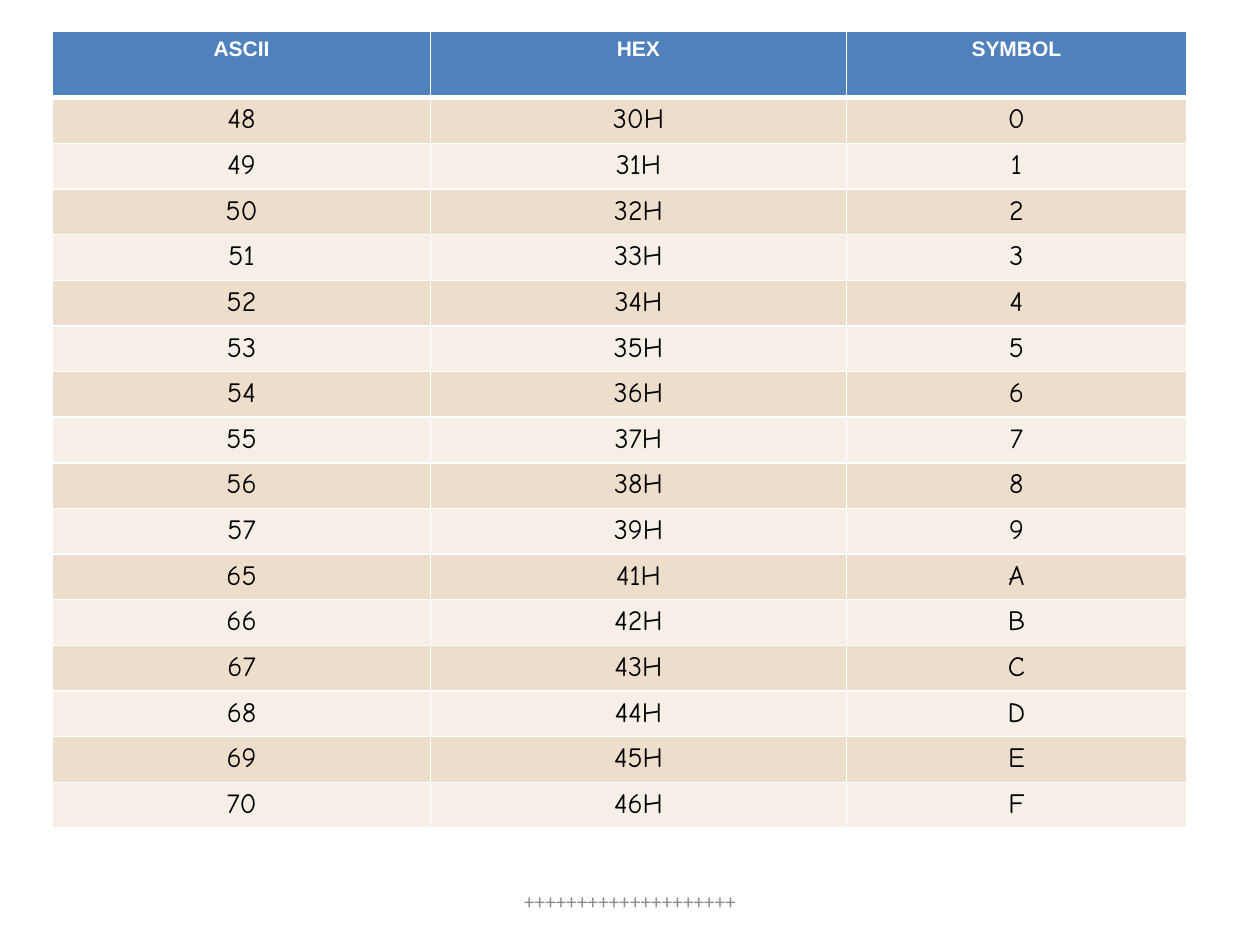
from dataclasses import dataclass

from lxml.etree import SubElement
from pptx import Presentation
from pptx.dml.color import RGBColor
from pptx.enum.text import MSO_ANCHOR, PP_ALIGN
from pptx.oxml.ns import qn
from pptx.table import _Cell
from pptx.text.text import _Paragraph
from pptx.util import Cm, Pt


@dataclass(frozen=True)
class TextStyle:
    """Font settings of a centred paragraph."""
    font: str
    size: int
    color: str
    bold: bool = False


@dataclass(frozen=True)
class RowStyle:
    """Look of one table row."""
    text: TextStyle
    fill: str
    top_border: int = 1
    bottom_border: int = 1


HEADER_TEXT = TextStyle("Arial", 12, "FFFFFF", True)
BODY_TEXT = TextStyle("Comic Neue", 16, "000000")
FOOTER_TEXT = TextStyle("Calibri", 12, "8C8C8C")
BAND_FILLS = ("ECDECB", "F6EFE7")
COLUMN_WIDTHS = (7.62, 8.38, 6.86)
HEADER_HEIGHT, BODY_HEIGHT = 1.34, 0.92
HEADINGS = ("ASCII", "HEX", "SYMBOL")
SYMBOLS = "0123456789ABCDEF"


def rgb(color: str) -> RGBColor:
    """Return the colour of a hex string."""
    return RGBColor.from_string(color)


def write(paragraph: _Paragraph, text: str, style: TextStyle) -> None:
    """Write centred text in the given style."""
    paragraph.text = text
    paragraph.alignment = PP_ALIGN.CENTER
    paragraph.font.name = style.font
    paragraph.font.size = Pt(style.size)
    paragraph.font.bold = style.bold
    paragraph.font.color.rgb = rgb(style.color)


def set_borders(cell: _Cell, top: int, bottom: int) -> None:
    """Draw white borders, with top and bottom widths in points."""
    properties = cell._tc.get_or_add_tcPr()
    widths = {"a:lnL": 1, "a:lnR": 1, "a:lnT": top, "a:lnB": bottom}
    for position, (tag, width) in enumerate(widths.items()):
        line = SubElement(properties, qn(tag), w=str(Pt(width)))
        fill = SubElement(line, qn("a:solidFill"))
        SubElement(fill, qn("a:srgbClr"), val="FFFFFF")
        properties.insert(position, line)


def row_style(index: int) -> RowStyle:
    """Return the style of the row at an index, the header being row zero."""
    if index == 0:
        return RowStyle(HEADER_TEXT, "4F81BD", bottom_border=3)
    return RowStyle(BODY_TEXT, BAND_FILLS[(index - 1) % 2], top_border=3 if index == 1 else 1)


presentation = Presentation()
presentation.slide_width, presentation.slide_height = Cm(25.4), Cm(19.05)
slide = presentation.slides.add_slide(presentation.slide_layouts[6])

footer = slide.shapes.add_textbox(Cm(8.68), Cm(17.66), Cm(8.05), Cm(1.01))
footer.text_frame.word_wrap = True
footer.text_frame.vertical_anchor = MSO_ANCHOR.MIDDLE
write(footer.text_frame.paragraphs[0], "+" * 20, FOOTER_TEXT)

rows = [HEADINGS] + [(str(ord(symbol)), f"{ord(symbol):X}H", symbol) for symbol in SYMBOLS]
table_height = HEADER_HEIGHT + BODY_HEIGHT * len(SYMBOLS)
table = slide.shapes.add_table(
    len(rows), len(HEADINGS), Cm(1.06), Cm(0.63), Cm(sum(COLUMN_WIDTHS)), Cm(table_height)
).table
for column, width in zip(table.columns, COLUMN_WIDTHS):
    column.width = Cm(width)
for index, values in enumerate(rows):
    style = row_style(index)
    table.rows[index].height = Cm(BODY_HEIGHT if index else HEADER_HEIGHT)
    for cell, value in zip(table.rows[index].cells, values):
        write(cell.text_frame.paragraphs[0], value, style.text)
        cell.margin_top = Cm(0.12)
        cell.margin_bottom = Cm(0.1)
        cell.fill.solid()
        cell.fill.fore_color.rgb = rgb(style.fill)
        set_borders(cell, style.top_border, style.bottom_border)

presentation.save("out.pptx")
